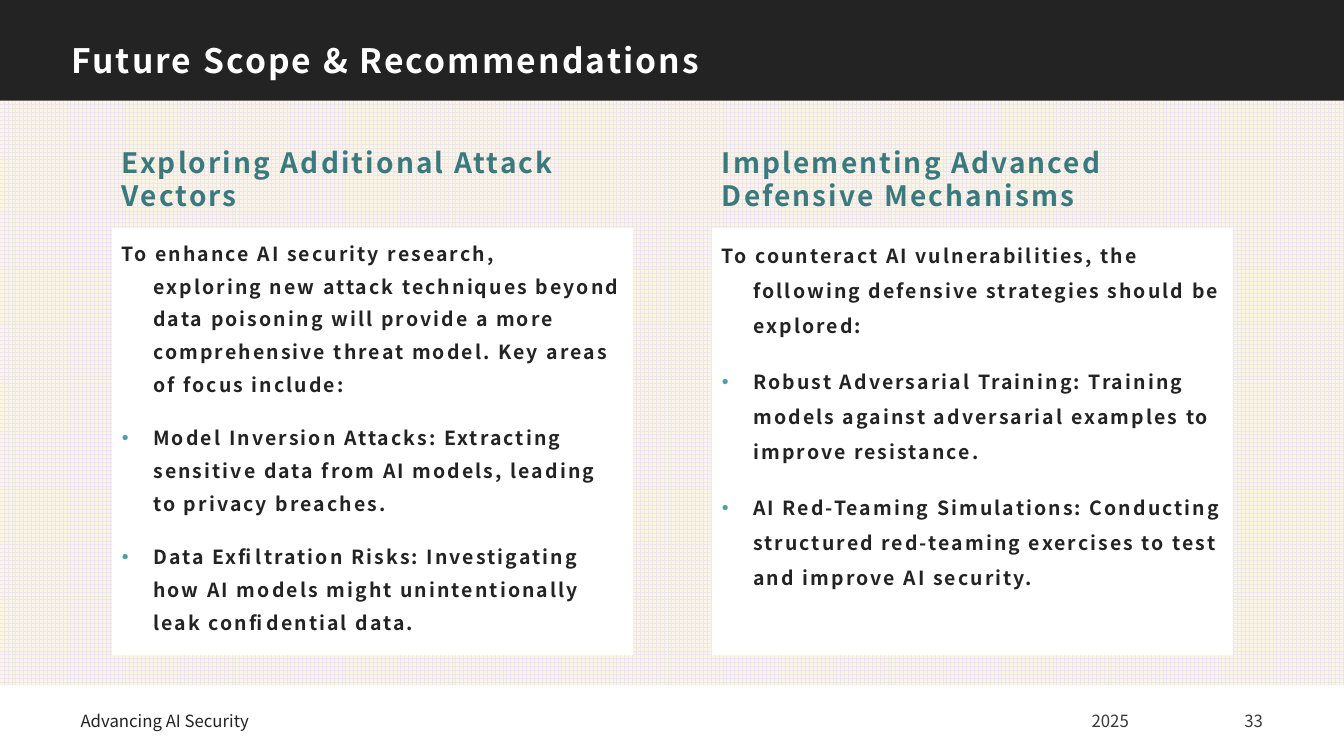
from copy import deepcopy

from pptx import Presentation
from pptx.dml.color import RGBColor
from pptx.enum.dml import MSO_PATTERN_TYPE as Pattern
from pptx.enum.shapes import MSO_SHAPE as Preset
from pptx.enum.text import MSO_ANCHOR as Anchor, MSO_AUTO_SIZE as AutoSize, PP_ALIGN as Align
from pptx.oxml.ns import qn
from pptx.oxml.xmlchemy import OxmlElement
from pptx.util import Cm, Pt

COLORS = {
    "ink": "232323", "paper": "FFFFFF", "heading": "3A797E", "bullet": "4DA1A8",
    "footer": "393939", "grid": "EBE6EB", "cream": "FCF5E5",
}
FONT = "Noto Sans CJK JP"
WIDTH, HEIGHT = 33.87, 19.05
HEADER_HEIGHT, PANEL_HEIGHT = 2.54, 14.73
COLUMN_WIDTH = 13.13

COLUMNS = [
    {
        "left": 2.82,
        "spacing": 1.4,
        "heading": "Exploring Additional Attack Vectors",
        "intro": "To enhance AI security research,\vexploring new attack techniques beyond "
                 "data poisoning will provide a more comprehensive threat model. "
                 "Key areas of focus include:",
        "points": [
            "Model Inversion Attacks: Extracting sensitive data from AI models, "
            "leading to privacy breaches.",
            "Data Exfiltration Risks: Investigating how AI models might "
            "unintentionally leak confidential data.",
        ],
    },
    {
        "left": 17.94,
        "spacing": 1.5,
        "heading": "Implementing Advanced Defensive Mechanisms",
        "intro": "To counteract AI vulnerabilities, the following defensive strategies "
                 "should be explored:",
        "points": [
            "Robust Adversarial Training: Training models against adversarial "
            "examples to improve resistance.",
            "AI Red-Teaming Simulations: Conducting structured red-teaming "
            "exercises to test and improve AI security.",
        ],
    },
]

# Footer entries: text, left, width, alignment, colour
FOOTER = [
    ("Advancing AI Security", 1.78, 17.48, Align.LEFT, "ink"),
    ("2025", 20.27, 8.43, Align.RIGHT, "footer"),
    ("33", 29.74, 2.34, Align.RIGHT, "footer"),
]


def rgb(name):
    return RGBColor.from_string(COLORS[name])


def write(paragraph, text, size, color, bold=False, tracking=0, align=Align.LEFT,
          spacing=1.0, before=0, hanging=0, bullet=False):
    """Fill one paragraph with text and format it."""
    props = paragraph._p.get_or_add_pPr()
    props.set("marL", str(Cm(hanging)))
    props.set("indent", str(-Cm(hanging)))
    if bullet:
        tint = OxmlElement("a:buClr")
        value = OxmlElement("a:srgbClr")
        value.set("val", COLORS["bullet"])
        tint.append(value)
        mark = OxmlElement("a:buChar")
        mark.set("char", "•")
        props.extend([tint, mark])
    else:
        props.append(OxmlElement("a:buNone"))
    paragraph.alignment = align
    paragraph.line_spacing = spacing
    paragraph.space_before = Pt(before)
    paragraph.space_after = Pt(0)

    paragraph.text = text
    for run in paragraph.runs:
        run.font.name = FONT
        run.font.size = Pt(size)
        run.font.bold = bold
        run.font.color.rgb = rgb(color)
        run_props = run._r.get_or_add_rPr()
        run_props.set("spc", str(int(tracking * 100)))
    # Line breaks take the format of the text around them
    for line_break in paragraph._p.findall(qn("a:br")):
        line_break.insert(0, deepcopy(run_props))


class SlideBuilder:
    """Holds the current slide and places its elements."""

    def __init__(self, slide):
        self.slide = slide

    def band(self, top, height):
        """Full-width band behind everything placed so far."""
        band = self.slide.shapes.add_shape(
            Preset.RECTANGLE, Cm(0), Cm(top), Cm(WIDTH), Cm(height))
        band.shadow.inherit = False
        band.line.fill.background()
        self.slide.shapes.element.insert(2, band._element)
        return band.fill

    def frame(self, shape, anchor):
        frame = shape.text_frame
        frame.word_wrap = True
        frame.auto_size = AutoSize.NONE
        frame.vertical_anchor = anchor
        return frame

    def placeholder(self, index, left, top, width, height, anchor=Anchor.TOP):
        holder = self.slide.placeholders[index]
        holder.left, holder.top = Cm(left), Cm(top)
        holder.width, holder.height = Cm(width), Cm(height)
        return holder, self.frame(holder, anchor)

    def title(self, text):
        _, frame = self.placeholder(0, 1.5, 0.61, 17.75, 1.88, Anchor.MIDDLE)
        frame.margin_left = frame.margin_right = frame.margin_top = Cm(0.3)
        frame.margin_bottom = Cm(0.25)
        write(frame.paragraphs[0], text, size=24, color="paper", bold=True,
              tracking=1.5, spacing=0.9)

    def column(self, index, left, spacing, heading, intro, points):
        _, frame = self.placeholder(index, left, 3.53, COLUMN_WIDTH, 1.88)
        write(frame.paragraphs[0], heading, size=20, color="heading", bold=True,
              tracking=1.5)

        card, frame = self.placeholder(index + 1, left, 5.74, COLUMN_WIDTH, 10.77)
        card.fill.solid()
        card.fill.fore_color.rgb = rgb("paper")
        style = dict(size=13.9, color="ink", bold=True, tracking=1.5,
                     spacing=spacing, hanging=0.79)
        write(frame.paragraphs[0], intro, **style)
        for point in points:
            write(frame.add_paragraph(), point, before=15, bullet=True, **style)

    def footer(self, text, left, width, align, color):
        box = self.slide.shapes.add_textbox(Cm(left), Cm(17.65), Cm(width), Cm(1.02))
        frame = self.frame(box, Anchor.MIDDLE)
        write(frame.paragraphs[0], text, size=12, color=color, align=align)


def main():
    deck = Presentation()
    deck.slide_width, deck.slide_height = Cm(WIDTH), Cm(HEIGHT)
    comparison = deck.slide_layouts.get_by_name("Comparison")
    builder = SlideBuilder(deck.slides.add_slide(comparison))

    # Header band and patterned panel
    header = builder.band(0, HEADER_HEIGHT)
    header.solid()
    header.fore_color.rgb = rgb("ink")
    panel = builder.band(HEADER_HEIGHT, PANEL_HEIGHT)
    panel.patterned()
    panel.pattern = Pattern.LARGE_GRID
    panel.fore_color.rgb = rgb("grid")
    panel.back_color.rgb = rgb("cream")

    # Title and the two columns
    builder.title("Future Scope & Recommendations")
    for number, column in enumerate(COLUMNS):
        builder.column(1 + 2 * number, **column)

    # Footer line
    for entry in FOOTER:
        builder.footer(*entry)

    deck.save("out.pptx")


if __name__ == "__main__":
    main()
